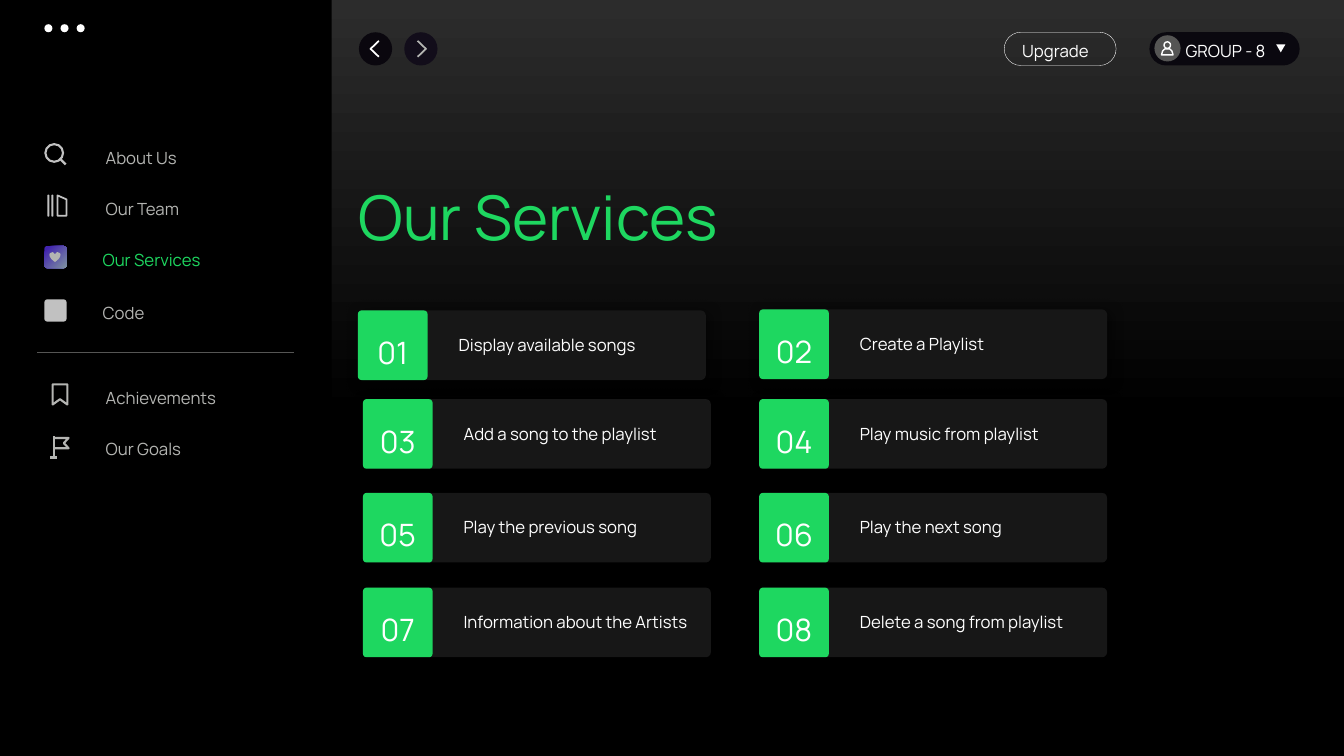
from dataclasses import dataclass

from lxml import etree
from pptx import Presentation
from pptx.dml.color import RGBColor
from pptx.enum.shapes import MSO_CONNECTOR, MSO_SHAPE
from pptx.enum.text import MSO_AUTO_SIZE, PP_ALIGN
from pptx.oxml.ns import qn
from pptx.util import Inches, Pt

RECT, ROUND, OVAL = MSO_SHAPE.RECTANGLE, MSO_SHAPE.ROUNDED_RECTANGLE, MSO_SHAPE.OVAL
TRIANGLE, HEART = MSO_SHAPE.ISOSCELES_TRIANGLE, MSO_SHAPE.HEART
STRAIGHT = MSO_CONNECTOR.STRAIGHT
LEFT, CENTER = PP_ALIGN.LEFT, PP_ALIGN.CENTER
FIT_SHAPE = MSO_AUTO_SIZE.SHAPE_TO_FIT_TEXT

CELL = Inches(0.1)  # the slide is a grid of 133.3 columns by 75 rows
COLUMNS, ROWS = 133.3, 75


@dataclass(frozen=True)
class Theme:
    font: str = "Manrope"
    body: int = 12
    number: int = 22
    title: int = 44
    white: str = "FFFFFF"
    black: str = "000000"
    green: str = "1ED760"
    muted: str = "B4B5B2"
    icon: str = "C1C1C1"
    rule: str = "555554"
    card: str = "171717"
    pill: str = "0A080F"
    back: str = "0A070E"
    forward: str = "120D1A"
    backdrop: tuple = (("2C2C2C", 0), ("000000", 0.55))
    heart_tile: tuple = (("4224B0", 0.11), ("7F93A0", 1))


@dataclass(frozen=True)
class Box:
    """A rectangle in grid columns and rows."""
    left: float
    top: float
    width: float
    height: float

    def inner(self, left, top, width, height):
        return Box(self.left + left, self.top + top, width, height)

    def emu(self):
        return [round(v * CELL) for v in (self.left, self.top, self.width, self.height)]


THEME = Theme()

# label, label offset, label top, label width, icon box
MENU = [
    ("About Us", 9.5, 14.2, 9.6, "search", (4.4, 14.2, 2.2, 2.2)),
    ("Our Team", 9.5, 19.2, 10.8, "library", (4.7, 19.3, 2, 2.2)),
    ("Our Services", 9.2, 24.3, 12.6, "heart", (4.4, 24.4, 2.2, 2.2)),
    ("Code", 9.2, 29.5, 6.6, "tile", (4.4, 29.7, 2.2, 2.2)),
    ("Achievements", 9.5, 38, 14.2, "bookmark", (5.1, 38, 1.7, 2.3)),
    ("Our Goals", 9.5, 43, 10.8, "flag", (5, 43.3, 1.9, 2.2)),
]
CURRENT = "Our Services"

SERVICES = [
    ("Display available songs", 22.1), ("Create a Playlist", 15.8),
    ("Add a song to the playlist", 23.5), ("Play music from playlist", 22.7),
    ("Play the previous song", 21.1), ("Play the next song", 17.4),
    ("Information about the Artists", 26.4), ("Delete a song from playlist", 24.6),
]
CARD_LEFTS = (36, 75.3)
CARD_TOPS = (30.7, 39.6, 48.9, 58.3)
CARD_NUDGES = {1: (-0.5, 0.1)}


def color(code):
    return RGBColor.from_string(code)


def fill_gradient(fill, stops, angle):
    fill.gradient()
    fill.gradient_angle = angle
    for stop, (code, position) in zip(fill.gradient_stops, stops):
        stop.color.rgb = color(code)
        stop.position = position


def paint(shape, fill=None, line=None, weight=1.25):
    shape.shadow.inherit = False
    if fill:
        shape.fill.solid()
        shape.fill.fore_color.rgb = color(fill)
    else:
        shape.fill.background()
    if line:
        shape.line.color.rgb = color(line)
        shape.line.width = Pt(weight)
    else:
        shape.line.fill.background()


def add_preset(slide, kind, box, fill=None, line=None, weight=1.25, radius=None):
    shape = slide.shapes.add_shape(kind, *box.emu())
    paint(shape, fill, line, weight)
    if radius is not None:
        shape.adjustments[0] = radius
    return shape


def add_stroke(slide, box, points, line, weight=1.25, close=False):
    """Draw a polyline whose points are shares of the box."""
    left, top, width, height = box.emu()
    spots = [(left + x * width, top + y * height) for x, y in points]
    builder = slide.shapes.build_freeform(*spots[0], scale=1.0)
    builder.add_line_segments(spots[1:], close=close)
    paint(builder.convert_to_shape(), line=line, weight=weight)


def add_label(slide, box, text, code, size=THEME.body, align=LEFT):
    frame = slide.shapes.add_textbox(*box.emu()).text_frame
    frame.word_wrap = False
    frame.auto_size = FIT_SHAPE
    para = frame.paragraphs[0]
    para.alignment = align
    span = para.add_run()
    span.text = text
    span.font.name = THEME.font
    span.font.size = Pt(size)
    span.font.color.rgb = color(code)


def add_soft_shadow(shape):
    effects = shape._element.spPr.find(qn("a:effectLst"))
    shadow = etree.SubElement(effects, qn("a:outerShdw"), blurRad=str(Pt(10)),
                              dist=str(Pt(3)), dir="2700000", algn="tl", rotWithShape="0")
    tint = etree.SubElement(shadow, qn("a:srgbClr"), val=THEME.black)
    etree.SubElement(tint, qn("a:alpha"), val="60000")


def add_icon(slide, name, box):
    if name == "search":
        add_preset(slide, OVAL, box.inner(0.1, 0.1, 1.75, 1.75), line=THEME.icon, weight=1.5)
        add_stroke(slide, box, [(0.7, 0.7), (0.96, 0.96)], THEME.icon, 1.75)
    elif name == "library":
        for left in (0, 0.4):
            add_preset(slide, ROUND, box.inner(left, 0, 0.2, 2.2), THEME.icon, radius=0.5)
        add_stroke(slide, box, [(0.5, 0.04), (0.95, 0.22), (0.95, 0.96), (0.5, 0.96)],
                   THEME.icon, close=True)
    elif name in ("heart", "tile"):
        tile = add_preset(slide, ROUND, box, THEME.icon, radius=0.13)
        if name == "heart":
            fill_gradient(tile.fill, THEME.heart_tile, 315)
            add_preset(slide, HEART, box.inner(0.5, 0.6, 1.1, 1), THEME.muted)
    elif name == "bookmark":
        add_stroke(slide, box, [(0.07, 0.06), (0.93, 0.06), (0.93, 0.93), (0.5, 0.7),
                                (0.07, 0.93)], THEME.muted, 1.5, close=True)
    elif name == "flag":
        add_stroke(slide, box, [(0.18, 0), (0.18, 0.95)], THEME.muted, 1.5)
        add_stroke(slide, box, [(0, 0.95), (0.36, 0.95)], THEME.muted, 1.5)
        add_stroke(slide, box, [(0.18, 0.07), (0.95, 0.07), (0.7, 0.3), (0.95, 0.53),
                                (0.18, 0.53)], THEME.muted, 1.5)


def add_sidebar(slide, box):
    add_preset(slide, RECT, box, THEME.black)
    for index in range(3):
        add_preset(slide, OVAL, box.inner(4.4 + 1.6 * index, 2.4, 0.8, 0.8), THEME.white)
    for text, left, top, width, icon, icon_place in MENU:
        code = THEME.green if text == CURRENT else THEME.muted
        add_label(slide, box.inner(left, top, width, 3), text, code)
        add_icon(slide, icon, box.inner(*icon_place))
    left, top, width, _ = box.inner(3.7, 35, 25.5, 0).emu()
    rule = slide.shapes.add_connector(STRAIGHT, left, top, left + width, top)
    rule.line.color.rgb = color(THEME.rule)
    rule.line.width = Pt(0.5)
    etree.SubElement(rule._element.spPr, qn("a:effectLst"))


def add_top_bar(slide, box):
    """Place the back and forward buttons, the upgrade pill and the account pill."""
    for left, fill, line, tip, tail in ((2.7, THEME.back, THEME.white, 0.35, 0.6),
                                        (7.2, THEME.forward, THEME.muted, 0.65, 0.4)):
        button = box.inner(left, 0, 3.3, 3.3)
        add_preset(slide, OVAL, button, fill)
        add_stroke(slide, button, [(tail, 0.26), (tip, 0.5), (tail, 0.74)], line)

    upgrade = box.inner(66.7, 0, 11.1, 3.3)
    add_preset(slide, ROUND, upgrade, line=THEME.white, weight=0.25, radius=0.5)
    add_label(slide, upgrade.inner(0.8, 0.4, 9.4, 3), "Upgrade", THEME.white)

    account = box.inner(81.1, 0, 14.9, 3.3)
    add_preset(slide, ROUND, account, THEME.pill, radius=0.5)
    add_label(slide, account.inner(2.6, 0.4, 10.8, 3), "GROUP - 8", THEME.white)
    add_preset(slide, OVAL, account.inner(0.5, 0.3, 2.6, 2.6), THEME.rule)
    add_preset(slide, OVAL, account.inner(1.45, 0.95, 0.65, 0.65), line=THEME.white, weight=1)
    add_stroke(slide, account.inner(1.2, 1.6, 1.15, 0.65),
               [(0, 1), (0.1, 0.4), (0.3, 0.08), (0.7, 0.08), (0.9, 0.4), (1, 1)],
               THEME.white, 1, close=True)
    add_preset(slide, TRIANGLE, account.inner(12.7, 1, 0.9, 0.8), THEME.white).rotation = 60


def add_service_card(slide, box, number, text, text_width):
    bar = add_preset(slide, ROUND, box, THEME.card, radius=0.07)
    add_soft_shadow(bar)
    side = box.height
    add_preset(slide, ROUND, box.inner(0, 0, side, side), THEME.green, radius=0.05)
    add_label(slide, box.inner(side / 2 - 3, 1.8, 6, 4.7), f"{number:02}", THEME.white,
              THEME.number, CENTER)
    add_label(slide, box.inner(9, 1.9, text_width, 3), text, THEME.white)


def add_services(slide):
    add_label(slide, Box(34.6, 17.3, 40.7, 8.4), "Our Services", THEME.green, THEME.title)
    for index, (text, width) in enumerate(SERVICES):
        row, column = divmod(index, len(CARD_LEFTS))
        right, down = CARD_NUDGES.get(index + 1, (0, 0))
        box = Box(CARD_LEFTS[column] + right, CARD_TOPS[row] + down, 34.5, 6.9)
        add_service_card(slide, box, index + 1, text, width)


def main():
    deck = Presentation()
    deck.slide_width, deck.slide_height = round(COLUMNS * CELL), round(ROWS * CELL)
    slide = deck.slides.add_slide(deck.slide_layouts[6])
    fill_gradient(slide.background.fill, THEME.backdrop, 270)
    add_sidebar(slide, Box(0, 0, 32.9, ROWS))
    add_top_bar(slide, Box(32.9, 3.2, COLUMNS - 32.9, 3.3))
    add_services(slide)
    deck.save("out.pptx")


if __name__ == "__main__":
    main()
